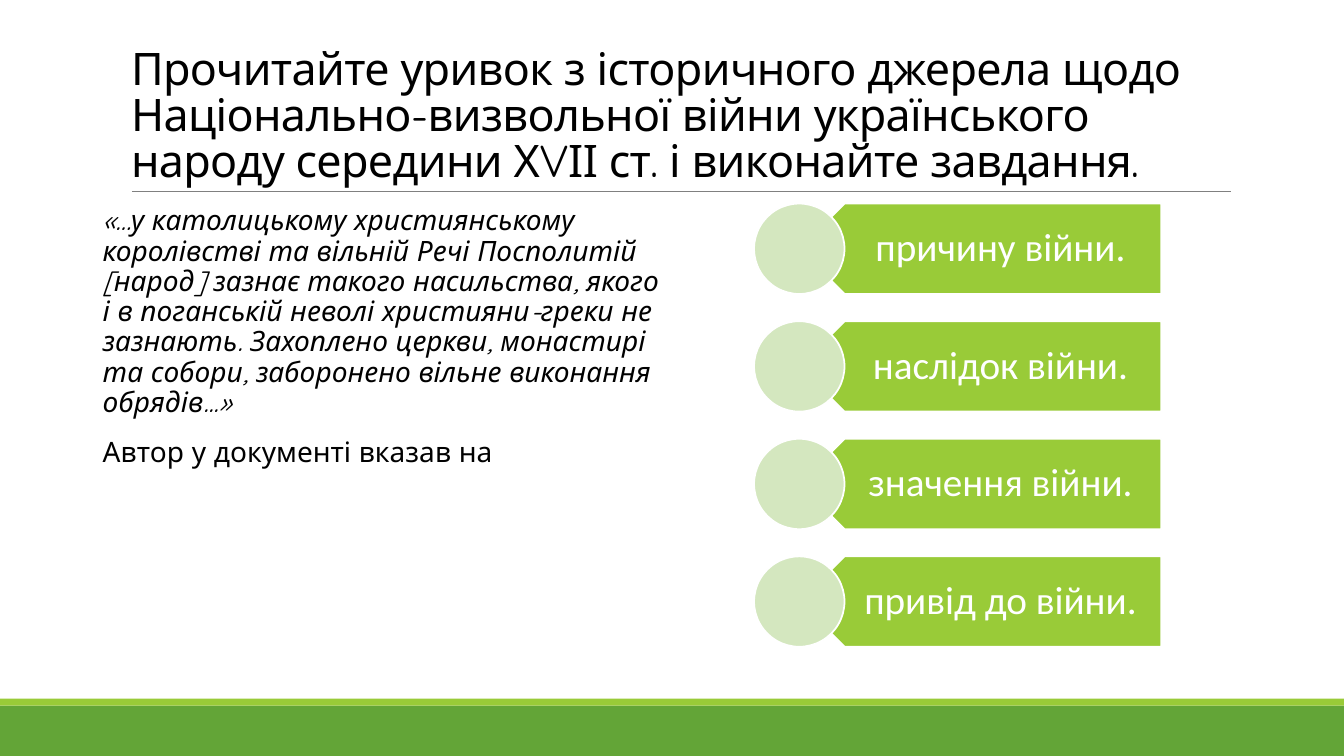
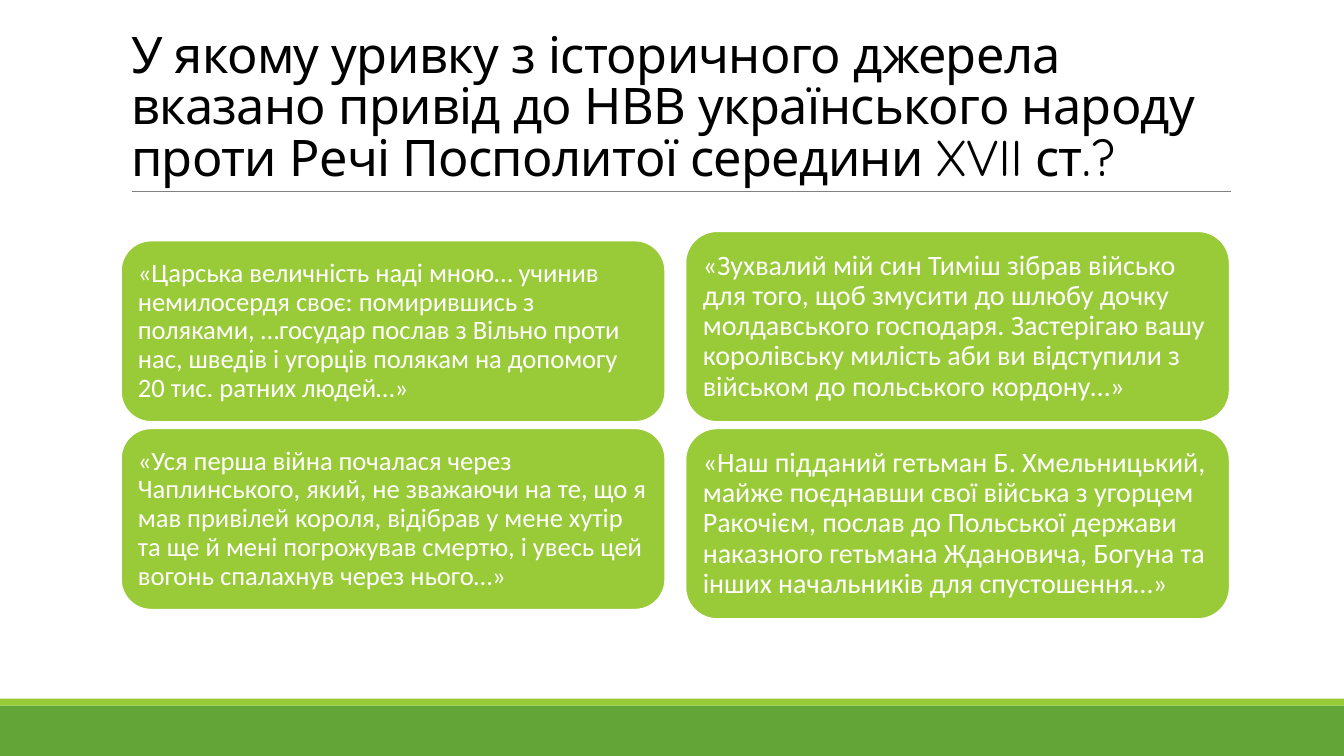
from dataclasses import dataclass

from lxml.etree import SubElement
from pptx import Presentation
from pptx.dml.color import RGBColor as Rgb
from pptx.enum.shapes import MSO_CONNECTOR as Link, MSO_SHAPE as Kind
from pptx.enum.text import MSO_ANCHOR as Anchor, MSO_AUTO_SIZE as Auto, PP_ALIGN as Align
from pptx.oxml.ns import qn
from pptx.util import Pt

WIDE, HIGH = 960, 540
GREEN, LIME, PALE = "63A537", "99CB38", "D4E7BF"
GREY, BLACK, WHITE = "808080", "000000", "FFFFFF"
HEAD, BODY = "Quicksand", "Calibri"


@dataclass(frozen=True)
class Box:
    left: float
    top: float
    width: float
    height: float

    def points(self) -> list:
        return [Pt(v) for v in (self.left, self.top, self.width, self.height)]


@dataclass(frozen=True)
class Stack:
    """A column of equal cards, centred on one height."""
    left: float
    height: float
    size: float
    texts: tuple


TITLE = Box(86.4, 22.3, 792, 114.5)
QUOTE = Box(66.2, 144, 408.2, 367.2)
EXCERPT = (
    "«…у католицькому християнському королівстві та вільній Речі Посполитій [народ] "
    "зазнає такого насильства, якого і в поганській неволі християни-греки не зазнають. "
    "Захоплено церкви, монастирі та собори, заборонено вільне виконання обрядів...»"
)
ANSWERS = ("причину війни.", "наслідок війни.", "значення війни.", "привід до війни.")
STEP_TOP, STEP_GAP, STEP = 145.4, 84, 64.6
CARD_MID, CARD_GAP, CARD_WIDE = 303.7, 4.5, 388.8
STACKS = (
    Stack(86.4, 129.6, 19, (
        "«Царська величність наді мною… учинив немилосердя своє: помирившись з поляками, "
        "…государ послав з Вільно проти нас, шведів і угорців полякам на допомогу "
        "20 тис. ратних людей…»",
        "«Уся перша війна почалася через Чаплинського, який, не зважаючи на те, що я мав "
        "привілей короля, відібрав у мене хутір та ще й мені погрожував смертю, і увесь "
        "цей вогонь спалахнув через нього…»",
    )),
    Stack(489.6, 136.3, 20, (
        "«Зухвалий мій син Тиміш зібрав військо для того, щоб змусити до шлюбу дочку "
        "молдавського господаря. Застерігаю вашу королівську милість аби ви відступили з "
        "військом до польського кордону…»",
        "«Наш підданий гетьман Б. Хмельницький, майже поєднавши свої війська з угорцем "
        "Ракочієм, послав до Польської держави наказного гетьмана Ждановича, Богуна та "
        "інших начальників для спустошення…»",
    )),
)


def tint(fmt, code: str) -> None:
    """Give a fill a solid colour."""
    fmt.solid()
    fmt.fore_color.rgb = Rgb.from_string(code)


def style(para, face: str, size: float, code: str, lead: float, align=Align.LEFT) -> None:
    para.font.name, para.font.size = face, Pt(size)
    para.font.color.rgb = Rgb.from_string(code)
    para.line_spacing, para.alignment = lead, align


def fit(frame, anchor, left: float, top: float, right: float, base: float) -> None:
    """Set wrapping, anchor and insets of a text frame."""
    frame.word_wrap, frame.auto_size = True, Auto.NONE
    frame.vertical_anchor = anchor
    frame.margin_left, frame.margin_top = Pt(left), Pt(top)
    frame.margin_right, frame.margin_bottom = Pt(right), Pt(base)


def place(holder, box: Box) -> None:
    holder.left, holder.top, holder.width, holder.height = box.points()


def draw(slide, kind, box: Box, code: str, edge: str = ""):
    shape = slide.shapes.add_shape(kind, *box.points())
    shape.shadow.inherit = False
    tint(shape.fill, code)
    if edge:
        tint(shape.line.fill, edge)
        shape.line.width = Pt(1.25)
    else:
        shape.line.fill.background()
    return shape


def start(deck, layout: int, title: str, size: float):
    """Add a slide with its title, rule and bottom bands."""
    slide = deck.slides.add_slide(deck.slide_layouts[layout])
    draw(slide, Kind.RECTANGLE, Box(0, 504, WIDE, 36), GREEN)
    draw(slide, Kind.RECTANGLE, Box(0, 499, WIDE, 5), LIME)
    rule = slide.shapes.add_connector(Link.STRAIGHT, Pt(94.3), Pt(136.8), Pt(879), Pt(136.8))
    tint(rule.line.fill, GREY)
    rule.line.width = Pt(0.5)
    SubElement(rule._element.spPr, qn("a:effectLst"))

    head = slide.shapes.title
    place(head, TITLE)
    fit(head.text_frame, Anchor.BOTTOM, 7.2, 3.6, 7.2, 3.6)
    para = head.text_frame.paragraphs[0]
    run = para.add_run()
    run.text = title
    run._r.get_or_add_rPr().set("spc", "-50")
    style(para, HEAD, size, BLACK, 0.85)
    return slide


def write(holder) -> None:
    """Fill the body with the excerpt and the question."""
    place(holder, QUOTE)
    frame = holder.text_frame
    fit(frame, Anchor.TOP, 0, 3.6, 0, 3.6)
    frame.text = f"{EXCERPT}\nАвтор у документі вказав на"
    for i, para in enumerate(frame.paragraphs):
        props = para._p.get_or_add_pPr()
        props.set("marL", str(Pt(7.2)))
        props.set("indent", "0")
        SubElement(props, qn("a:buNone"))
        para.space_before, para.space_after = Pt(12 if i else 0), Pt(2)
        style(para, HEAD, 20, BLACK, 0.9)
        para.font.italic = i == 0


def answer(slide, top: float, text: str) -> None:
    plate = draw(slide, Kind.PENTAGON, Box(571, top, 258.4, STEP), LIME, WHITE)
    plate.rotation = 180
    label = slide.shapes.add_textbox(*Box(587, top, 242.4, STEP).points())
    frame = label.text_frame
    fit(frame, Anchor.MIDDLE, 28.5, 8.4, 15.7, 8.4)
    frame.text = text
    style(frame.paragraphs[0], BODY, 28, WHITE, 0.9, Align.CENTER)
    draw(slide, Kind.OVAL, Box(538.6, top, STEP, STEP), PALE, WHITE)


def pile(slide, stack: Stack) -> None:
    pitch = stack.height + CARD_GAP
    first = CARD_MID - (pitch * len(stack.texts) - CARD_GAP) / 2
    for i, text in enumerate(stack.texts):
        box = Box(stack.left, first + i * pitch, CARD_WIDE, stack.height)
        card = draw(slide, Kind.ROUNDED_RECTANGLE, box, LIME, WHITE)
        fit(card.text_frame, Anchor.MIDDLE, 5.8, 5.8, 5.8, 5.8)
        card.text_frame.text = text
        style(card.text_frame.paragraphs[0], BODY, stack.size, WHITE, 0.9)


def main() -> None:
    deck = Presentation()
    deck.slide_width, deck.slide_height = Pt(WIDE), Pt(HIGH)

    cause = start(
        deck, 1,
        "Прочитайте уривок з історичного джерела щодо Національно-визвольної війни "
        "українського народу середини ХVІІ ст. і виконайте завдання.", 32)
    write(cause.placeholders[1])
    for i, text in enumerate(ANSWERS):
        answer(cause, STEP_TOP + i * STEP_GAP, text)

    pretext = start(
        deck, 5,
        "У якому уривку з історичного джерела вказано привід до НВВ українського народу "
        "проти Речі Посполитої середини XVII ст.?", 36)
    for stack in STACKS:
        pile(pretext, stack)

    deck.save("out.pptx")


if __name__ == "__main__":
    main()
